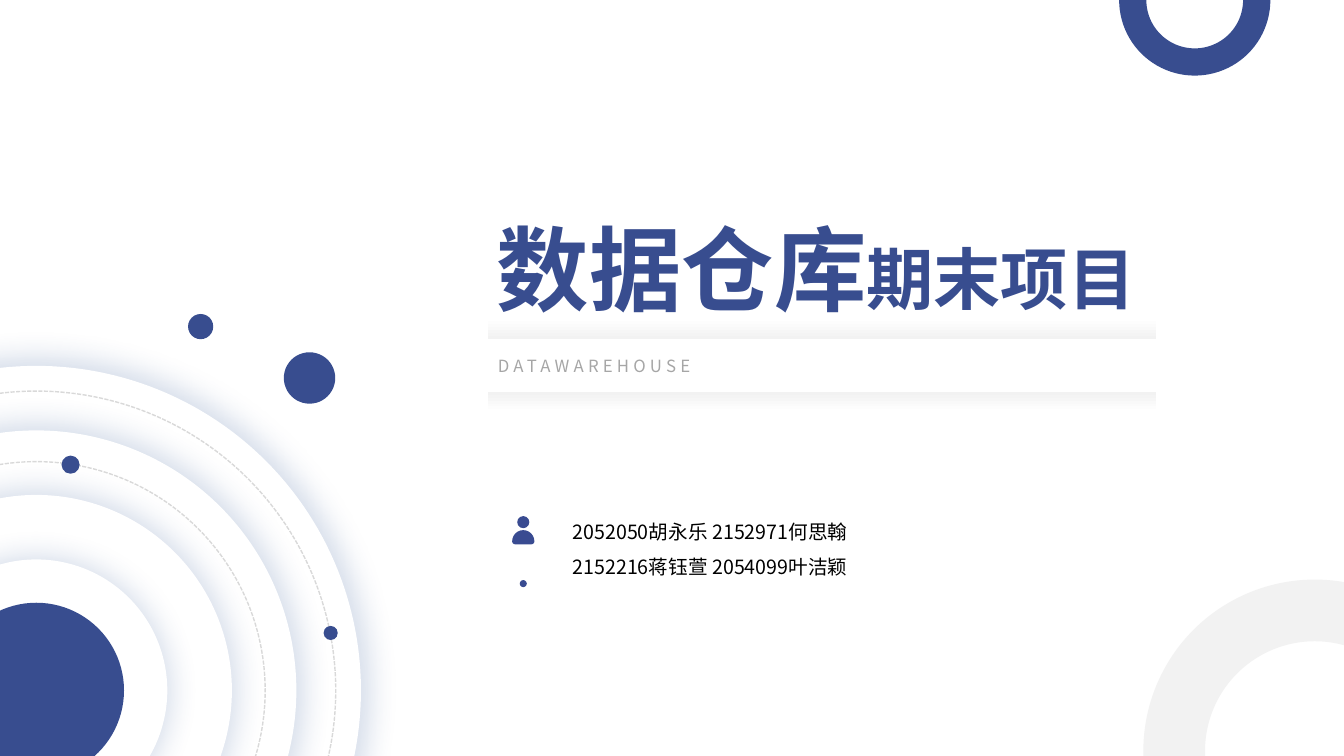
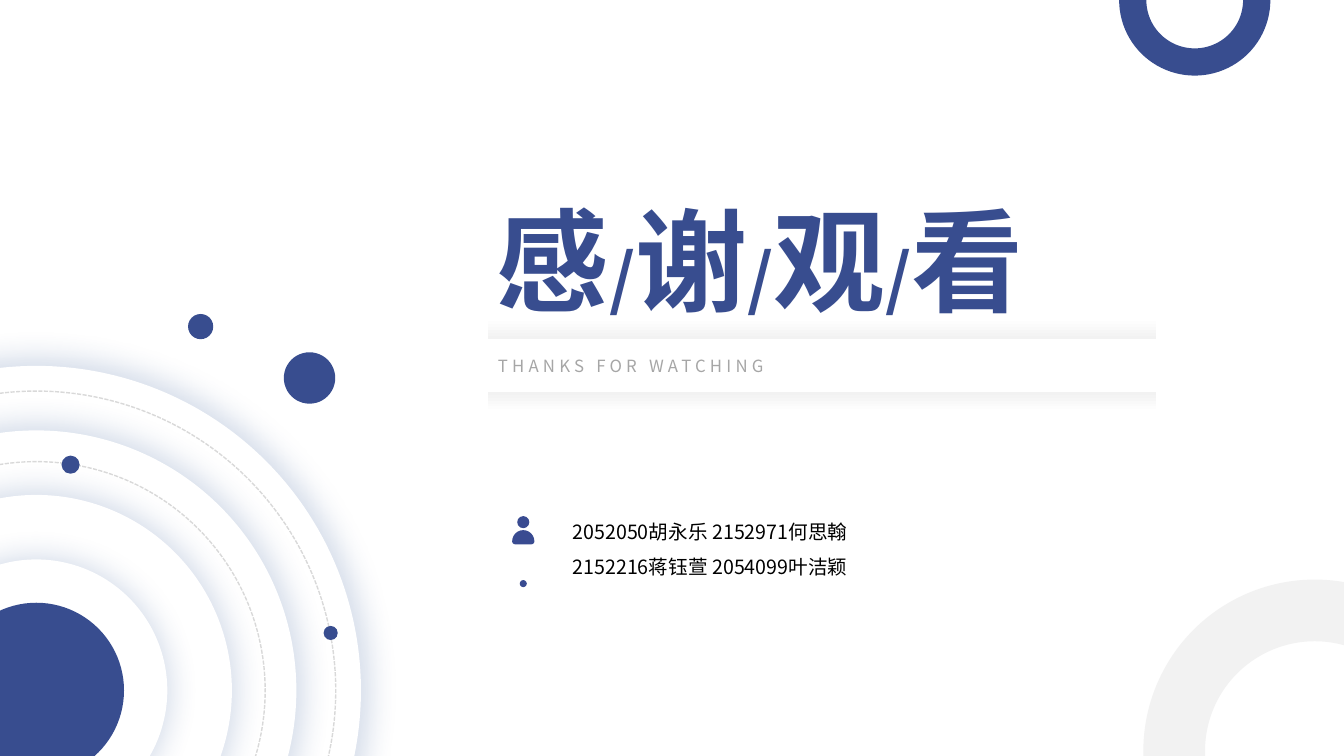
import math
import pptx
import pptx.util
import pptx.dml.color
import pptx.enum.dml
import pptx.enum.shapes
import pptx.enum.text
import pptx.oxml.ns
from lxml import etree

Inches, Pt = pptx.util.Inches, pptx.util.Pt
KIND = pptx.enum.shapes.MSO_SHAPE
ALIGN = pptx.enum.text.PP_ALIGN
qn = pptx.oxml.ns.qn

# Content: title runs (text, size), title top and height, subtitle
SLIDES = [
    {"title": [("数据仓库", 66), ("期末项目", 48)],
     "top": 2.06, "high": 1.21, "sub": "DATAWAREHOUSE"},
    {"title": [("感", 80), ("/", 48), ("谢", 80), ("/", 48),
               ("观", 80), ("/", 48), ("看", 80)],
     "top": 1.85, "high": 1.45, "sub": "THANKS FOR WATCHING"},
]
NAMES = ["2052050胡永乐 2152971何思翰", "2152216蒋钰萱 2054099叶洁颖"]

# Shared style
FACE = "Noto Sans CJK SC"
BLUE, ICON, GLOW = "384D8F", "394B91", "2F5597"
WHITE, PALE, DASH, GREY, BLACK = "FFFFFF", "F2F2F2", "D9D9D9", "A6A6A6", "000000"

# Shared layout: centre x, centre y, radius
HUB = (0.36, 6.85)
DISCS = [3.22 - 0.64 * i for i in range(4)]
ORBITS = [2.27, 2.97]
DOTS = [(0.7, 4.61, 0.09), (3.07, 3.75, 0.255), (1.99, 3.24, 0.125),
        (3.28, 6.28, 0.07)]
DONUTS = [(11.85, 0, 0.75, BLUE), (13.04, 7.45, 1.7, PALE)]
HEAD, SPOT = (5.19, 5.18, 0.06), (5.19, 5.79, 0.035)
BARS = [(3.16, WHITE, PALE), (3.89, PALE, WHITE)]


def color(code):
    return pptx.dml.color.RGBColor.from_string(code)


def paint(shape, fill):
    """Plain fill, no outline, no shadow."""
    shape.shadow.inherit = False
    shape.line.fill.background()
    if fill:
        shape.fill.solid()
        shape.fill.fore_color.rgb = color(fill)
    else:
        shape.fill.background()


def ring(slide, x, y, r, fill, kind=KIND.OVAL):
    shape = slide.shapes.add_shape(
        kind, Inches(x - r), Inches(y - r), Inches(2 * r), Inches(2 * r))
    paint(shape, fill)
    return shape


def glow(shape):
    effects = shape._element.spPr.find(qn("a:effectLst"))
    outer = etree.SubElement(effects, qn("a:outerShdw"), blurRad=str(Pt(20)),
                             sx="103000", sy="103000", algn="ctr",
                             rotWithShape="0")
    tint = etree.SubElement(outer, qn("a:srgbClr"), val=GLOW)
    etree.SubElement(tint, qn("a:alpha"), val="20000")


def text_box(slide, x, y, w, h):
    frame = slide.shapes.add_textbox(
        Inches(x), Inches(y), Inches(w), Inches(h)).text_frame
    frame.word_wrap = True
    frame.auto_size = pptx.enum.text.MSO_AUTO_SIZE.SHAPE_TO_FIT_TEXT
    return frame


def style(para, code, size=None, bold=False, gap=None):
    font = para.font
    font.name, font.bold, font.color.rgb = FACE, bold, color(code)
    if size:
        font.size = Pt(size)
    props = font._rPr
    if gap:
        props.set("spc", str(gap * 100))
    east = etree.Element(qn("a:ea"), typeface=FACE)
    props.find(qn("a:latin")).addnext(east)


def arc(x, y, r, start, end):
    steps = 12
    turns = [math.radians(start + (end - start) * i / steps)
             for i in range(steps + 1)]
    return [(Inches(x + r * math.cos(t)), Inches(y + r * math.sin(t)))
            for t in turns]


def person(slide):
    ring(slide, *HEAD, ICON)
    # Shoulders: a half circle with two small lower corners
    points = (arc(5.19, 5.37, 0.11, 180, 360) + arc(5.27, 5.37, 0.03, 0, 90)
              + arc(5.11, 5.37, 0.03, 90, 180))
    outline = slide.shapes.build_freeform(*points[0], scale=1.0)
    outline.add_line_segments(points[1:], close=True)
    paint(outline.convert_to_shape(), ICON)
    ring(slide, *SPOT, ICON)


def decor(slide):
    for r in DISCS:
        glow(ring(slide, *HUB, r, WHITE))
    ring(slide, *HUB, 0.87, BLUE)
    for r in ORBITS:
        line = ring(slide, *HUB, r, None).line
        line.color.rgb = color(DASH)
        line.width = Pt(1)
        line.dash_style = pptx.enum.dml.MSO_LINE.SQUARE_DOT
    for dot in DOTS:
        ring(slide, *dot, BLUE)
    for x, y, r, fill in DONUTS:
        ring(slide, x, y, r, fill, KIND.DONUT).adjustments[0] = 0.18


def bars(slide):
    for y, *shades in BARS:
        bar = slide.shapes.add_shape(
            KIND.RECTANGLE, Inches(4.84), Inches(y), Inches(6.63), Inches(0.2))
        paint(bar, WHITE)
        bar.fill.gradient()
        bar.fill.gradient_angle = 270
        for stop, shade in zip(bar.fill.gradient_stops, shades):
            stop.color.rgb = color(shade)


def words(slide, data):
    # Title
    para = text_box(slide, 4.83, data["top"], 7.68, data["high"]).paragraphs[0]
    style(para, BLUE, bold=True)
    for text, size in data["title"]:
        run = para.add_run()
        run.text, run.font.size = text, Pt(size)
    # Subtitle
    para = text_box(slide, 4.84, 3.48, 6.67, 0.3).paragraphs[0]
    para.text, para.alignment = data["sub"], ALIGN.JUSTIFY
    style(para, GREY, 12, gap=3)
    # Names
    frame = text_box(slide, 5.58, 4.99, 4.38, 0.77)
    frame.text = "\n".join(NAMES)
    for para in frame.paragraphs:
        para.line_spacing = 1.5
        style(para, BLACK, 14)


def main():
    deck = pptx.Presentation()
    deck.slide_width, deck.slide_height = Inches(13.33), Inches(7.5)
    for data in SLIDES:
        slide = deck.slides.add_slide(deck.slide_layouts[6])
        decor(slide)
        bars(slide)
        person(slide)
        words(slide, data)
    deck.save("out.pptx")


if __name__ == "__main__":
    main()
